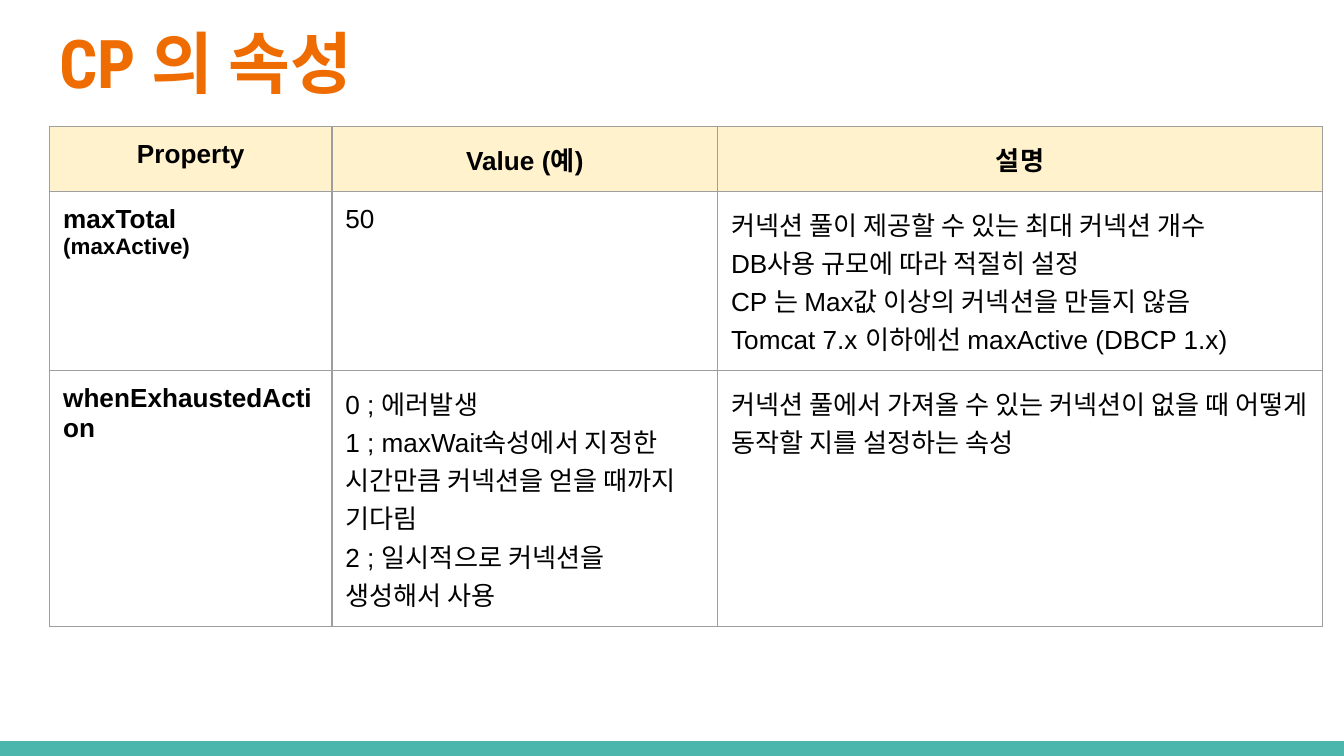
"""Build the slide on connection pool properties."""
from lxml import etree
from pptx import Presentation
from pptx.dml.color import RGBColor
from pptx.enum.shapes import MSO_SHAPE
from pptx.enum.text import MSO_ANCHOR, PP_ALIGN
from pptx.oxml.ns import qn
from pptx.util import Inches, Pt

RECTANGLE = MSO_SHAPE.RECTANGLE
MIDDLE, TOP = MSO_ANCHOR.MIDDLE, MSO_ANCHOR.TOP
LEFT, CENTER = PP_ALIGN.LEFT, PP_ALIGN.CENTER

WIDTH = 10
HEIGHT = WIDTH * 9 / 16
FOOTER_HEIGHT = 0.11
ORANGE, TEAL, CREAM, GRAY, BLACK = "EF6C00", "4DB6AC", "FFF2CC", "9E9E9E", "000000"

TITLE = "CP 의 속성"
HEADERS = ["Property", "Value (예)", "설명"]
PROPERTIES = [
    (
        ["maxTotal", "(maxActive)"],
        ["50"],
        ["커넥션 풀이 제공할 수 있는 최대 커넥션 개수\v"
         "DB사용 규모에 따라 적절히 설정\v"
         "CP 는 Max값 이상의 커넥션을 만들지 않음\v"
         "Tomcat 7.x 이하에선 maxActive (DBCP 1.x)"],
    ),
    (
        ["whenExhaustedAction"],
        ["0 ; 에러발생",
         "1 ; maxWait속성에서 지정한 시간만큼 커넥션을 얻을 때까지 기다림",
         "2 ; 일시적으로 커넥션을 생성해서 사용"],
        ["커넥션 풀에서 가져올 수 있는 커넥션이 없을 때 어떻게 동작할 지를 설정하는 속성"],
    ),
]
COLUMN_WIDTHS = [2.1, 2.87, 4.5]
ROW_HEIGHTS = [0.48, 1.33, 1.9]
TABLE_LEFT, TABLE_TOP = 0.37, 0.94

MARGINS = {f"margin_{side}": Inches(0.1) for side in ("left", "right", "top", "bottom")}
TITLE_FONT = {"name": "Roboto Condensed", "size": Pt(36), "bold": True}
CELL_FONT = {"name": "Arial", "size": Pt(14), "bold": False}
LABEL_FONT = CELL_FONT | {"bold": True}
ALIAS_FONT = LABEL_FONT | {"size": Pt(12)}


def color(hex_value):
    """Turn a hex string into a colour."""
    return RGBColor.from_string(hex_value)


def apply(target, values):
    """Set every attribute in a dict of format values."""
    for attribute, value in values.items():
        setattr(target, attribute, value)


def write(paragraph, wording, font, hex_value, alignment=LEFT):
    """Fill a paragraph and format its runs."""
    paragraph.text = wording
    paragraph.alignment = alignment
    for run in paragraph.runs:
        apply(run.font, font)
        run.font.color.rgb = color(hex_value)


def add_borders(cell):
    """Draw a thin gray line on each side of a cell."""
    properties = cell._tc.get_or_add_tcPr()
    for side in ("lnL", "lnR", "lnT", "lnB"):
        line = etree.SubElement(properties, qn(f"a:{side}"), w=str(Pt(0.75)))
        fill = etree.SubElement(line, qn("a:solidFill"))
        etree.SubElement(fill, qn("a:srgbClr"), val=GRAY)


def fill_cell(cell, lines, is_header, is_label):
    """Write and format one table cell."""
    apply(cell, MARGINS | {"vertical_anchor": TOP})
    add_borders(cell)
    if is_header:
        cell.fill.solid()
        cell.fill.fore_color.rgb = color(CREAM)
    else:
        cell.fill.background()
    frame = cell.text_frame
    for index, wording in enumerate(lines):
        paragraph = frame.add_paragraph() if index else frame.paragraphs[0]
        font = LABEL_FONT if is_header or is_label else CELL_FONT
        if is_label and index:
            font = ALIAS_FONT
        write(paragraph, wording, font, BLACK, CENTER if is_header else LEFT)


def add_title(slide):
    """Place and format the title."""
    title = slide.shapes.title
    apply(title, {"left": Inches(0.34), "top": Inches(0.07),
                  "width": Inches(9.32), "height": Inches(0.77)})
    apply(title.text_frame, MARGINS | {"word_wrap": True, "vertical_anchor": MIDDLE})
    write(title.text_frame.paragraphs[0], TITLE, TITLE_FONT, ORANGE)


def add_footer(slide):
    """Add the coloured band along the bottom edge."""
    band = slide.shapes.add_shape(RECTANGLE, 0, Inches(HEIGHT - FOOTER_HEIGHT),
                                  Inches(WIDTH), Inches(FOOTER_HEIGHT))
    band.shadow.inherit = False
    band.fill.solid()
    band.fill.fore_color.rgb = color(TEAL)
    band.line.fill.background()


def add_properties(slide):
    """Add the table of properties."""
    rows = [[[header] for header in HEADERS], *PROPERTIES]
    table = slide.shapes.add_table(
        len(rows), len(HEADERS), Inches(TABLE_LEFT), Inches(TABLE_TOP),
        Inches(sum(COLUMN_WIDTHS)), Inches(sum(ROW_HEIGHTS))).table
    apply(table, {"first_row": False, "horz_banding": False})
    for column, width in zip(table.columns, COLUMN_WIDTHS):
        column.width = Inches(width)
    for row_index, (row, height) in enumerate(zip(rows, ROW_HEIGHTS)):
        table.rows[row_index].height = Inches(height)
        for column_index, lines in enumerate(row):
            fill_cell(table.cell(row_index, column_index), lines,
                      row_index == 0, column_index == 0)


def main():
    """Build and save the presentation."""
    deck = Presentation()
    apply(deck, {"slide_width": Inches(WIDTH), "slide_height": Inches(HEIGHT)})
    slide = deck.slides.add_slide(deck.slide_layouts[5])
    add_footer(slide)
    add_title(slide)
    add_properties(slide)
    deck.save("out.pptx")


if __name__ == "__main__":
    main()
